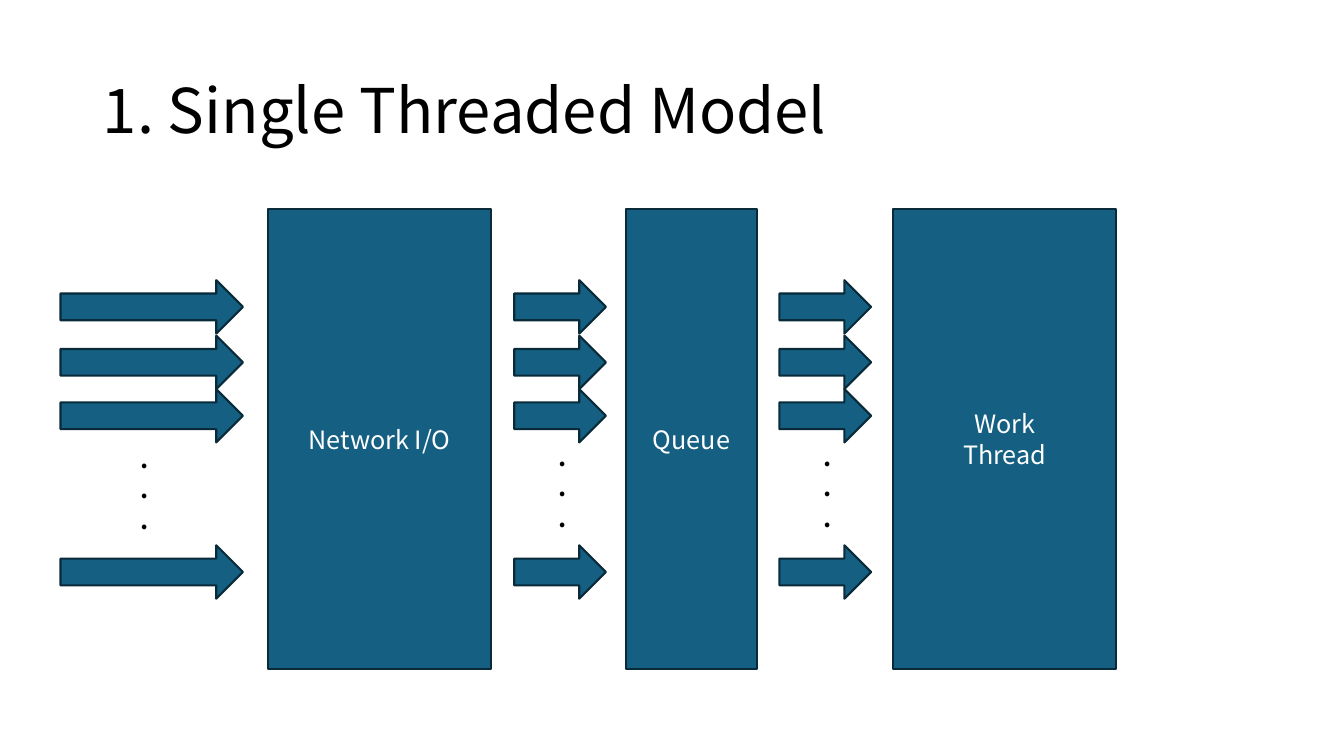
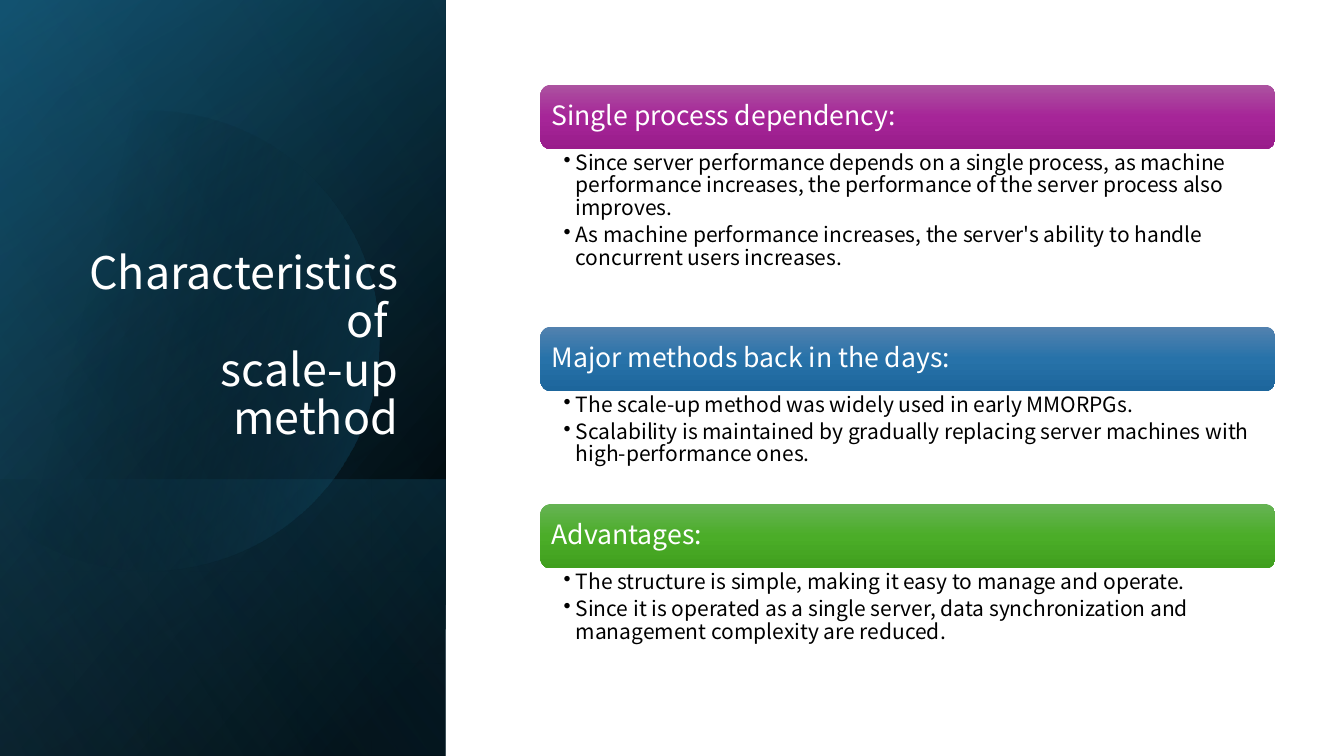
from dataclasses import dataclass
from math import acos, cos, sin

from pptx import Presentation
from pptx.dml.color import RGBColor
from pptx.enum.shapes import MSO_SHAPE
from pptx.enum.text import MSO_ANCHOR, MSO_AUTO_SIZE, PP_ALIGN
from pptx.oxml.ns import qn
from pptx.oxml.xmlchemy import OxmlElement
from pptx.presentation import Presentation as Deck
from pptx.shapes.base import BaseShape
from pptx.slide import Slide
from pptx.text.text import TextFrame
from pptx.util import Inches, Pt

RECTANGLE, ROUNDED = MSO_SHAPE.RECTANGLE, MSO_SHAPE.ROUNDED_RECTANGLE
RIGHT_ARROW = MSO_SHAPE.RIGHT_ARROW
LEFT, CENTER, RIGHT = PP_ALIGN.LEFT, PP_ALIGN.CENTER, PP_ALIGN.RIGHT
TOP, MIDDLE, BOTTOM = MSO_ANCHOR.TOP, MSO_ANCHOR.MIDDLE, MSO_ANCHOR.BOTTOM

# Shared look
FONT = "Noto Sans CJK KR"
BLACK = RGBColor(0x00, 0x00, 0x00)
WHITE = RGBColor(0xFF, 0xFF, 0xFF)
TEAL = RGBColor(0x15, 0x60, 0x82)
TEAL_OUTLINE = RGBColor(0x09, 0x2A, 0x39)
TEAL_DEEP = RGBColor(0x10, 0x48, 0x62)
SKY = RGBColor(0x46, 0xB1, 0xE1)
SLIDE_WIDTH, SLIDE_HEIGHT = 13.33, 7.5
TITLE_ONLY = 5

# Flow diagram grid
BLOCK_TOP, BLOCK_HEIGHT = 2.07, 4.57
ARROW_ROWS = (2.78, 3.33, 3.86, 5.41)
ARROW_HEIGHT = 0.53
DOTS_HEIGHT = 1.01

# Side panel and section grid
PANEL_WIDTH = 4.42
SECTION_LEFT, SECTION_TOP, SECTION_WIDTH = 5.36, 0.84, 7.29
HEADER_HEIGHT = 0.64
BULLET_INDENT = 0.12


@dataclass(frozen=True)
class Box:
    left: float
    top: float
    width: float
    height: float

    def lengths(self) -> tuple[int, ...]:
        return tuple(Inches(n) for n in (self.left, self.top, self.width, self.height))


@dataclass(frozen=True)
class Style:
    size: float
    color: RGBColor
    align: PP_ALIGN = LEFT
    bold: bool = False
    line_spacing: float = 1.0
    space_after: float = 0
    bullet: bool = False


@dataclass(frozen=True)
class Block:
    left: float
    width: float
    lines: tuple[str, ...]


@dataclass(frozen=True)
class ArrowColumn:
    left: float
    width: float
    dots_left: float
    dots_top: float
    dots_width: float


@dataclass(frozen=True)
class Stop:
    position: int
    color: RGBColor
    opacity: int = 100


@dataclass(frozen=True)
class PanelLayer:
    top: float
    angle: int
    stops: tuple[Stop, ...]


@dataclass(frozen=True)
class Section:
    heading: str
    colors: tuple[RGBColor, ...]
    body_height: float
    points: tuple[str, ...]


BLOCK_STYLE = Style(18, WHITE, CENTER)
DOT_STYLE = Style(18, BLACK, bold=True)
HEADER_STYLE = Style(19, WHITE, line_spacing=0.9)
POINT_STYLE = Style(15, BLACK, line_spacing=0.9, space_after=3, bullet=True)

BLOCKS = (
    Block(2.66, 2.21, ("Network I/O",)),
    Block(6.21, 1.3, ("Queue",)),
    Block(8.86, 2.21, ("Work", "Thread")),
)
ARROW_COLUMNS = (
    ArrowColumn(0.6, 1.81, 1.3, 4.35, 0.46),
    ArrowColumn(5.1, 0.91, 5.44, 4.33, 0.23),
    ArrowColumn(7.73, 0.91, 8.07, 4.33, 0.23),
)
LAYERS_BELOW_DISC = (
    PanelLayer(0, 50, (Stop(8, BLACK), Stop(100, TEAL_DEEP))),
    PanelLayer(0, 30, (Stop(0, BLACK, 0), Stop(99, TEAL, 46))),
    PanelLayer(4.76, 130, (Stop(2, TEAL, 29), Stop(100, BLACK, 30))),
)
LAYER_ABOVE_DISC = PanelLayer(0, 120, (Stop(0, BLACK, 0), Stop(99, SKY, 11)))
DISC_STOPS = (Stop(29, BLACK, 0), Stop(100, TEAL, 43))
SECTIONS = (
    Section(
        "Single process dependency:",
        (RGBColor(0xAC, 0x53, 0xA0), RGBColor(0xA6, 0x25, 0x98), RGBColor(0x99, 0x1C, 0x8B)),
        1.76,
        ("Since server performance depends on a single process, as machine performance "
         "increases, the performance of the server process also improves.",
         "As machine performance increases, the server's ability to handle concurrent "
         "users increases."),
    ),
    Section(
        "Major methods back in the days:",
        (RGBColor(0x53, 0x82, 0xAF), RGBColor(0x27, 0x72, 0xA9), RGBColor(0x1D, 0x66, 0x9C)),
        1.12,
        ("The scale-up method was widely used in early MMORPGs.",
         "Scalability is maintained by gradually replacing server machines with "
         "high-performance ones."),
    ),
    Section(
        "Advantages:",
        (RGBColor(0x66, 0xB3, 0x54), RGBColor(0x4B, 0xAD, 0x28), RGBColor(0x40, 0x9F, 0x1E)),
        1.12,
        ("The structure is simple, making it easy to manage and operate.",
         "Since it is operated as a single server, data synchronization and management "
         "complexity are reduced."),
    ),
)


# Text and fill helpers
def write(frame: TextFrame, lines: tuple[str, ...], style: Style, anchor: MSO_ANCHOR,
          insets: tuple[float, float, float, float] = (0.1, 0.05, 0.1, 0.05)) -> None:
    frame.word_wrap = True
    frame.auto_size = MSO_AUTO_SIZE.NONE
    frame.vertical_anchor = anchor
    (frame.margin_left, frame.margin_top,
     frame.margin_right, frame.margin_bottom) = (Inches(inset) for inset in insets)
    frame.text = "\n".join(lines)
    for paragraph in frame.paragraphs:
        if style.bullet:
            properties = paragraph._p.get_or_add_pPr()
            properties.set("marL", str(Inches(BULLET_INDENT)))
            properties.set("indent", str(-Inches(BULLET_INDENT)))
            bullet = OxmlElement("a:buChar")
            bullet.set("char", "•")
            properties.append(bullet)
        paragraph.alignment = style.align
        paragraph.line_spacing = style.line_spacing
        paragraph.space_after = Pt(style.space_after)
        paragraph.font.name = FONT
        paragraph.font.size = Pt(style.size)
        paragraph.font.bold = style.bold
        paragraph.font.color.rgb = style.color


def add_title(slide: Slide, box: Box, text: str, style: Style, anchor: MSO_ANCHOR) -> None:
    title = slide.shapes.title
    title.left, title.top, title.width, title.height = box.lengths()
    write(title.text_frame, (text,), style, anchor)
    title.element.getparent().append(title.element)  # bring to front


def fill_gradient(shape: BaseShape, stops: tuple[Stop, ...], angle: int) -> None:
    """Fill with a linear gradient, its angle in clockwise degrees."""
    shape.shadow.inherit = False
    shape.line.fill.background()
    shape.fill.gradient()
    shape.fill.gradient_angle = 360 - angle
    stop_list = shape.element.spPr.find(qn("a:gradFill")).find(qn("a:gsLst"))
    for old_stop in list(stop_list):
        stop_list.remove(old_stop)
    for stop in stops:
        entry, color, alpha = (OxmlElement(tag) for tag in ("a:gs", "a:srgbClr", "a:alpha"))
        entry.set("pos", str(stop.position * 1000))
        color.set("val", str(stop.color))
        alpha.set("val", str(stop.opacity * 1000))
        color.append(alpha)
        entry.append(color)
        stop_list.append(entry)


# Flow diagram parts
def add_teal_shape(slide: Slide, kind: MSO_SHAPE, box: Box) -> BaseShape:
    shape = slide.shapes.add_shape(kind, *box.lengths())
    shape.shadow.inherit = False
    shape.fill.solid()
    shape.fill.fore_color.rgb = TEAL
    shape.line.color.rgb = TEAL_OUTLINE
    shape.line.width = Pt(1.5)
    return shape


def add_arrow_column(slide: Slide, column: ArrowColumn) -> None:
    for top in ARROW_ROWS:
        add_teal_shape(slide, RIGHT_ARROW, Box(column.left, top, column.width, ARROW_HEIGHT))
    box = Box(column.dots_left, column.dots_top, column.dots_width, DOTS_HEIGHT)
    dots = slide.shapes.add_textbox(*box.lengths())
    write(dots.text_frame, (".",) * 3, DOT_STYLE, TOP)


# Side panel parts
def add_panel_layer(slide: Slide, layer: PanelLayer) -> None:
    """Add a mirrored quarter-turned rectangle from layer.top to the slide's foot."""
    length = SLIDE_HEIGHT - layer.top
    shift = (PANEL_WIDTH - length) / 2
    box = Box(shift, layer.top - shift, length, PANEL_WIDTH)
    shape = slide.shapes.add_shape(RECTANGLE, *box.lengths())
    shape.rotation = 90
    shape.element.spPr.find(qn("a:xfrm")).set("flipH", "1")
    fill_gradient(shape, layer.stops, layer.angle)


def add_disc(slide: Slide) -> None:
    """Add a disc cut off by a vertical chord beyond the slide's left edge."""
    center_x, center_y, radius, chord_x, steps = 1.48, 3.38, 2.28, -0.15, 90
    limit = acos((chord_x - center_x) / radius)
    angles = [limit * (2 * step / steps - 1) for step in range(steps + 1)]
    points = [(Inches(center_x + radius * cos(angle)), Inches(center_y + radius * sin(angle)))
              for angle in angles]
    builder = slide.shapes.build_freeform(*points[0])
    builder.add_line_segments(points[1:], close=True)
    fill_gradient(builder.convert_to_shape(), DISC_STOPS, 14)


def add_section(slide: Slide, section: Section, top: float) -> None:
    header_box = Box(SECTION_LEFT, top, SECTION_WIDTH, HEADER_HEIGHT)
    header = slide.shapes.add_shape(ROUNDED, *header_box.lengths())
    stops = tuple(Stop(50 * index, color) for index, color in enumerate(section.colors))
    fill_gradient(header, stops, 90)
    write(header.text_frame, (section.heading,), HEADER_STYLE, MIDDLE, (0.08, 0.08, 0.08, 0.08))
    body_box = Box(SECTION_LEFT, top + HEADER_HEIGHT, SECTION_WIDTH, section.body_height)
    body = slide.shapes.add_textbox(*body_box.lengths())
    write(body.text_frame, section.points, POINT_STYLE, TOP, (0.23, 0.03, 0.15, 0.03))


# Slides
def build_model_slide(presentation: Deck) -> None:
    slide = presentation.slides.add_slide(presentation.slide_layouts[TITLE_ONLY])
    add_title(slide, Box(0.92, 0.4, 11.5, 1.45), "1. Single Threaded Model",
              Style(44, BLACK, line_spacing=0.9), MIDDLE)
    for block in BLOCKS:
        box = Box(block.left, BLOCK_TOP, block.width, BLOCK_HEIGHT)
        shape = add_teal_shape(slide, RECTANGLE, box)
        write(shape.text_frame, block.lines, BLOCK_STYLE, MIDDLE)
    for column in ARROW_COLUMNS:
        add_arrow_column(slide, column)


def build_scale_up_slide(presentation: Deck) -> None:
    slide = presentation.slides.add_slide(presentation.slide_layouts[TITLE_ONLY])
    for layer in LAYERS_BELOW_DISC:
        add_panel_layer(slide, layer)
    add_disc(slide)
    add_panel_layer(slide, LAYER_ABOVE_DISC)
    add_title(slide, Box(0.64, 1.84, 3.41, 2.62), "Characteristics of \vscale-up method",
              Style(32, WHITE, RIGHT, line_spacing=0.9), BOTTOM)
    top = SECTION_TOP
    for section in SECTIONS:
        add_section(slide, section, top)
        top += HEADER_HEIGHT + section.body_height


def main() -> None:
    presentation = Presentation()
    presentation.slide_width = Inches(SLIDE_WIDTH)
    presentation.slide_height = Inches(SLIDE_HEIGHT)
    build_model_slide(presentation)
    build_scale_up_slide(presentation)
    presentation.save("out.pptx")


if __name__ == "__main__":
    main()
